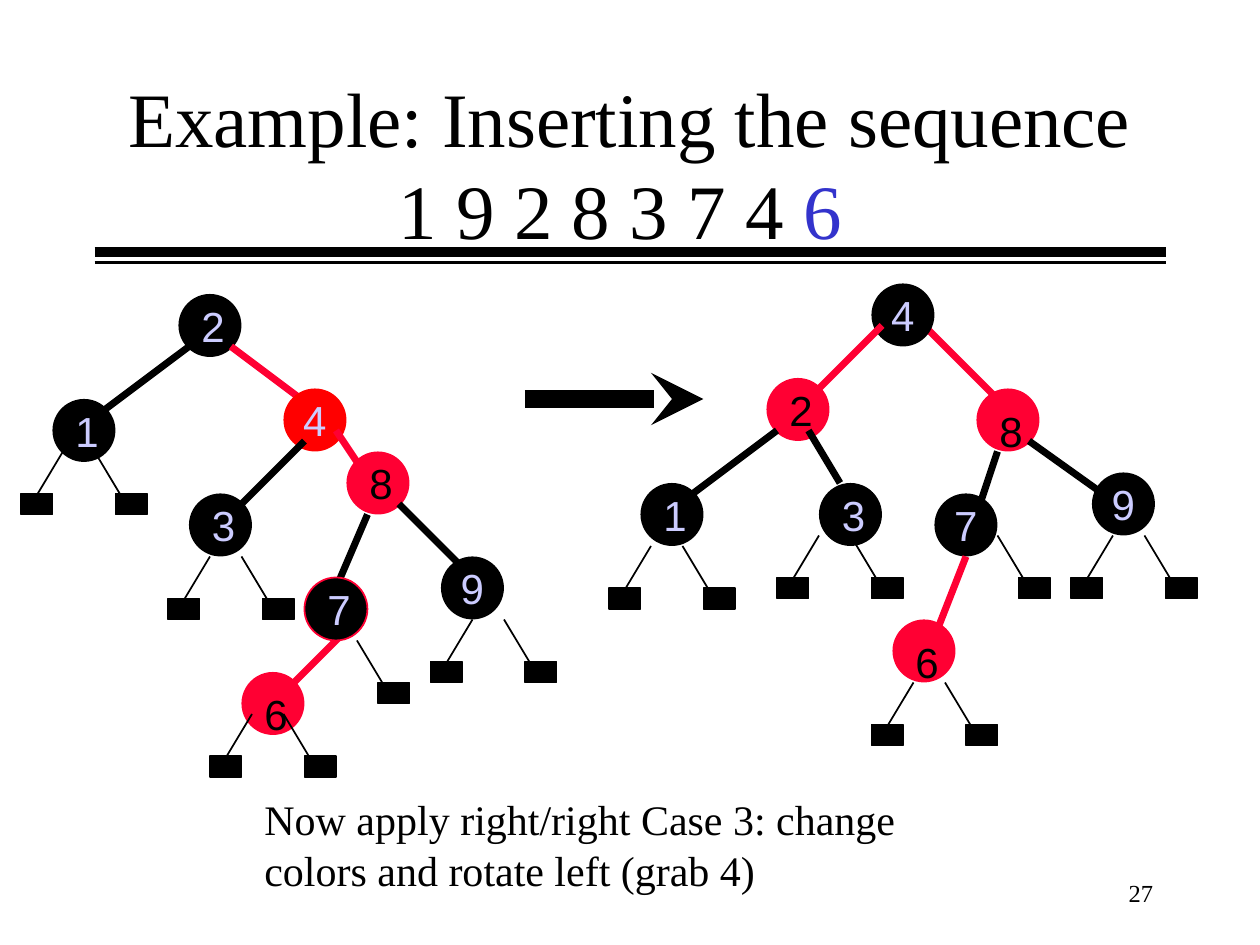
from lxml import etree
from pptx import Presentation
from pptx.dml.color import RGBColor
from pptx.enum.shapes import MSO_CONNECTOR as CONN, MSO_SHAPE as SHAPE
from pptx.enum.text import MSO_ANCHOR as ANCHOR, PP_ALIGN as ALIGN
from pptx.oxml.ns import qn
from pptx.util import Pt

PX = 9525
NODE = 48
COLORS = {
    "black": "000000",
    "crimson": "FF0033",
    "red": "FF0000",
    "lavender": "CCCCFF",
    "blue": "3333CC",
}
SERIF = {"name": "Times New Roman"}
SANS = {"name": "Arial", "size": Pt(24)}

# Each node: key, x, y, fill, label offset (None: text in the circle), edge to parent
BEFORE_NODES = [
    ("2", 136, 224, "black", 0, None),
    ("1", 40, 304, "black", 0, (144, 264, 80, 312, "black")),
    ("4", 216, 296, "red", None, (176, 264, 240, 312, "crimson")),
    ("3", 144, 376, "black", 0, (232, 336, 184, 384, "black")),
    ("8", 264, 344, "crimson", 0, (256, 328, 272, 352, "crimson")),
    ("9", 336, 424, "black", None, (304, 384, 352, 432, "black")),
    ("6", 184, 512, "crimson", 8, (264, 480, 216, 528, "crimson")),
    ("7", 232, 440, "black", 0, (280, 392, 256, 448, "black")),
]
AFTER_NODES = [
    ("8", 744, 296, "crimson", 8, (704, 248, 760, 304, "crimson")),
    ("4", 664, 216, "black", None, None),
    ("2", 584, 288, "crimson", 0, (672, 248, 624, 296, "crimson")),
    ("1", 488, 368, "black", 0, (592, 328, 528, 376, "black")),
    ("3", 624, 368, "black", 0, (616, 328, 640, 368, "black")),
    ("9", 832, 360, "black", None, (784, 336, 840, 376, "black")),
    ("7", 712, 376, "black", None, (744, 392, 760, 344, "black")),
    ("6", 680, 472, "crimson", 8, (736, 424, 711, 488, "crimson")),
]
LEAF_PAIRS = [
    (160, 424), (360, 472), (48, 344), (192, 544),
    (696, 520), (496, 416), (624, 408), (848, 408),
]
LONE_LEAVES = [(272, 488), (760, 408)]


def rgb(name):
    return RGBColor.from_string(COLORS[name])


def px(*lengths):
    return [n * PX for n in lengths]


def add_run(p, text, color, fmt):
    r = p.add_run()
    r.text = text
    for key, value in fmt.items():
        setattr(r.font, key, value)
    r.font.color.rgb = rgb(color)


def add_text(slide, box, runs, fmt, align=ALIGN.LEFT, anchor=ANCHOR.TOP):
    tf = slide.shapes.add_textbox(*px(*box)).text_frame
    tf.word_wrap = True
    tf.vertical_anchor = anchor
    p = tf.paragraphs[0]
    p.alignment = align
    for text, color in runs:
        add_run(p, text, color, fmt)


def add_line(slide, x1, y1, x2, y2, color="black", width=1, arrow=None):
    c = slide.shapes.add_connector(CONN.STRAIGHT, *px(x1, y1, x2, y2))
    c.line.color.rgb = rgb(color)
    c.line.width = Pt(width)
    if arrow:
        etree.SubElement(c.line._get_or_add_ln(), qn("a:tailEnd"), type=arrow)
    etree.SubElement(c._element.spPr, qn("a:effectLst"))


def add_solid(slide, kind, box, fill, outline=None):
    sp = slide.shapes.add_shape(kind, *px(*box))
    sp.shadow.inherit = False
    sp.fill.solid()
    sp.fill.fore_color.rgb = rgb(fill)
    if outline:
        sp.line.color.rgb = rgb(outline)
        sp.line.width = Pt(1)
    else:
        sp.line.fill.background()
    return sp


def add_node(slide, key, x, y, fill, label_dy, outline=None):
    sp = add_solid(slide, SHAPE.OVAL, (x, y, NODE, NODE), fill, outline)
    color = "black" if fill == "crimson" else "lavender"
    if label_dy is None:
        tf = sp.text_frame
        tf.word_wrap = False
        tf.vertical_anchor = ANCHOR.MIDDLE
        add_run(tf.paragraphs[0], key, color, SANS)
    else:
        add_text(slide, (x + 8, y + label_dy, 72, NODE), [(key, color)], SANS)


def add_leaf(slide, x, y, side):
    end_x, end_y = x + side * 24, y + 40
    add_line(slide, x, y, end_x, end_y)
    add_solid(slide, SHAPE.RECTANGLE, (end_x - 8, end_y - 8, 24, 16), "black", "black")


def add_tree(slide, nodes, outlined=()):
    for key, x, y, fill, label_dy, edge in nodes:
        if edge:
            add_line(slide, *edge, width=4)
        outline = "crimson" if key in outlined else None
        add_node(slide, key, x, y, fill, label_dy, outline)


def main():
    prs = Presentation()
    prs.slide_width, prs.slide_height = px(960, 720)
    slide = prs.slides.add_slide(prs.slide_layouts[6])

    for y, width in ((192, 6), (200, 2)):
        add_line(slide, 72, y, 888, y, width=width)
    title = [("Example: Inserting the sequence 1 9 2 8 3 7 4 ", "black"), ("6 ", "blue")]
    add_text(slide, (72, 64, 816, 120), title, {**SERIF, "size": Pt(44)},
             ALIGN.CENTER, ANCHOR.MIDDLE)
    add_line(slide, 400, 304, 536, 304, width=10, arrow="stealth")
    note = "Now apply right/right Case 3: change colors and rotate left (grab 4)"
    add_text(slide, (192, 600, 536, 86), [(note, "black")], {**SERIF, "size": Pt(24)})

    add_tree(slide, BEFORE_NODES, outlined=("7",))
    add_tree(slide, AFTER_NODES)
    for x, y in LEAF_PAIRS:
        add_leaf(slide, x, y, -1)
        add_leaf(slide, x + 24, y, 1)
    for x, y in LONE_LEAVES:
        add_leaf(slide, x, y, 1)

    add_text(slide, (688, 656, 200, 48), [("27", "black")], {**SERIF, "size": Pt(14)},
             ALIGN.RIGHT, ANCHOR.MIDDLE)
    prs.save("out.pptx")


if __name__ == "__main__":
    main()
